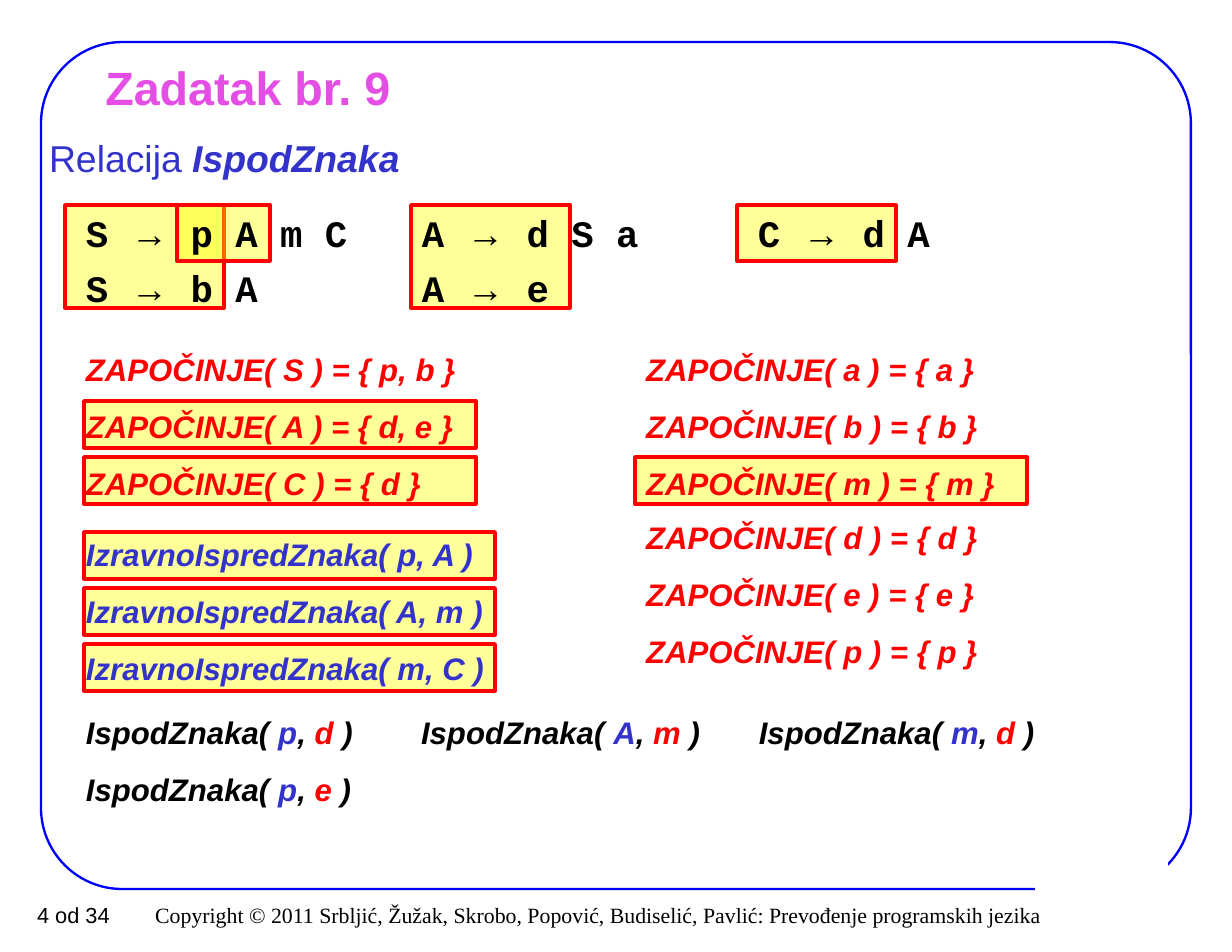
from lxml.etree import SubElement
from pptx import Presentation
from pptx.dml.color import RGBColor
from pptx.enum.shapes import MSO_SHAPE
from pptx.enum.text import MSO_ANCHOR, PP_ALIGN
from pptx.oxml.ns import qn
from pptx.util import Emu, Inches, Pt

PX = Inches(1) / 112
BLACK = RGBColor(0x00, 0x00, 0x00)
WHITE = RGBColor(0xFF, 0xFF, 0xFF)
RED = RGBColor(0xFF, 0x00, 0x00)
YELLOW = RGBColor(0xFF, 0xFF, 0x00)
BLUE = RGBColor(0x00, 0x00, 0xFF)
INDIGO = RGBColor(0x33, 0x33, 0xCC)
PINK = RGBColor(0xE4, 0x4E, 0xE4)


def px(*lengths):
    return [Emu(round(length * PX)) for length in lengths]


class SlideBuilder:
    """Draws the elements of one slide in a shared style."""

    font = "Arial"
    code_font = "Courier New"
    size = 20

    def __init__(self, deck):
        self.page = deck.slides.add_slide(deck.slide_layouts[5])

    def title(self, area, text):
        box = self.page.shapes.title
        box.left, box.top, box.width, box.height = px(*area)
        frame = box.text_frame
        frame.margin_left = frame.margin_right = Inches(0.11)
        frame.margin_top = frame.margin_bottom = Inches(0.06)
        frame.vertical_anchor = MSO_ANCHOR.MIDDLE
        para = frame.paragraphs[0]
        para.text = text
        para.alignment = PP_ALIGN.LEFT
        self.style(para.font, size=30, color=PINK, bold=True)

    def style(self, font, name=None, size=None, color=BLACK, bold=False, italic=False):
        font.name = name or self.font
        font.size = Pt(size or self.size)
        font.color.rgb = color
        font.bold, font.italic = bold, italic

    def shape(self, kind, area, line, width, fill=None, opacity=100):
        box = self.page.shapes.add_shape(kind, *px(*area))
        box.shadow.inherit = False
        box.line.color.rgb, box.line.width = line, Pt(width)
        if fill is None:
            box.fill.background()
        else:
            box.fill.solid()
            box.fill.fore_color.rgb = fill
        if opacity < 100:
            color = box.fill._xPr.find(qn("a:solidFill"))[0]
            SubElement(color, qn("a:alpha"), val=str(opacity * 1000))
        return box

    def highlight(self, *area):
        self.shape(MSO_SHAPE.RECTANGLE, area, RED, 2.25, YELLOW, 40)

    def text(self, area, lines, align=PP_ALIGN.LEFT, gap=12.5, tabs=0, spacing=None, **style):
        """Writes each line as a paragraph of (text, font overrides) spans."""
        box = self.page.shapes.add_textbox(*px(*area))
        frame = box.text_frame
        frame.word_wrap = True
        for index, spans in enumerate(lines):
            para = frame.add_paragraph() if index else frame.paragraphs[0]
            para.alignment = align
            if index:
                para.space_before = Pt(gap)
            if spacing:
                para.line_spacing = spacing
            if tabs:
                stops = SubElement(para._p.get_or_add_pPr(), qn("a:tabLst"))
                for inch in range(1, tabs + 1):
                    SubElement(stops, qn("a:tab"), pos=str(Inches(inch)), algn="l")
            self.style(para.font, **style)
            for words, overrides in spans:
                span = para.add_run()
                span.text = words
                if overrides:
                    self.style(span.font, **{**style, **overrides})
        return box

    def formulas(self, area, lines, color):
        self.text(area, [[(line, {})] for line in lines], color=color, bold=True, italic=True)

    def relations(self, area, pairs, align=PP_ALIGN.LEFT):
        lines = [
            [("IspodZnaka( ", {}), (first, {"color": INDIGO}), (", ", {}),
             (second, {"color": RED}), (" )", {})]
            for first, second in pairs
        ]
        self.text(area, lines, align, bold=True, italic=True)

    def grammar(self, area, rules):
        lines = []
        for rule in rules:
            spans = []
            for part in rule.split("→"):
                spans += [("→", {"name": self.font}), (part, {})]
            lines.append(spans[1:])
        self.text(area, lines, gap=6, tabs=7, name=self.code_font, size=24, bold=True)


def starts(*rules):
    return [f"ZAPOČINJE( {symbol} ) = {{ {members} }}" for symbol, members in rules]


def main():
    deck = Presentation()
    deck.slide_width, deck.slide_height = Inches(11), Inches(8.5)
    slide = SlideBuilder(deck)

    border = slide.shape(MSO_SHAPE.ROUNDED_RECTANGLE, (41, 42, 1150, 847), BLUE, 1.5)
    border.adjustments[0] = 0.096
    slide.shape(MSO_SHAPE.RECTANGLE, (1036, 859, 131, 56), WHITE, 1, WHITE)
    copyright_line = slide.text(
        (19, 896, 1034, 38),
        [[("Copyright © 2011 Srbljić, Žužak, Skrobo, Popović, Budiselić, Pavlić: "
           "Prevođenje programskih jezika", {})]],
        PP_ALIGN.RIGHT, name="Times New Roman", size=14)
    copyright_line.text_frame.vertical_anchor = MSO_ANCHOR.MIDDLE
    slide.text((-18, 896, 183, 38), [[("4 od 34", {})]], PP_ALIGN.CENTER, size=14)

    slide.title((93, 56, 1047, 62), "Zadatak br. 9")
    slide.text(
        (38, 121, 485, 65),
        [[("Relacija ", {}), ("IspodZnaka", {"bold": True, "italic": True})]],
        spacing=1.2, size=24, color=INDIGO)

    for left, width, height in ((65, 159, 103), (411, 159, 103), (737, 159, 56), (177, 93, 56)):
        slide.highlight(left, 205, width, height)
    for left, top in ((84, 401), (84, 457), (635, 457)):
        slide.highlight(left, top, 392, 47)
    for row in range(3):
        slide.highlight(84, 532 + 56 * row, 411, 47)

    slide.grammar((75, 205, 1017, 111), ["S → p A m C\tA → d S a\t\tC → d A", "S → b A\t\tA → e"])
    slide.formulas((75, 345, 961, 162), starts(("S", "p, b"), ("A", "d, e"), ("C", "d")), RED)
    for top, symbols in ((345, "abm"), (513, "dep")):
        slide.formulas((635, top, 411, 162), starts(*zip(symbols, symbols)), RED)
    direct = [f"IzravnoIspredZnaka( {pair} )" for pair in ("p, A", "A, m", "m, C")]
    slide.formulas((75, 530, 961, 162), direct, INDIGO)

    slide.relations((75, 708, 327, 105), ["pd", "pe"])
    slide.relations((383, 708, 355, 49), ["Am"], PP_ALIGN.CENTER)
    slide.relations((719, 708, 355, 49), ["md"], PP_ALIGN.CENTER)

    deck.save("out.pptx")


if __name__ == "__main__":
    main()
